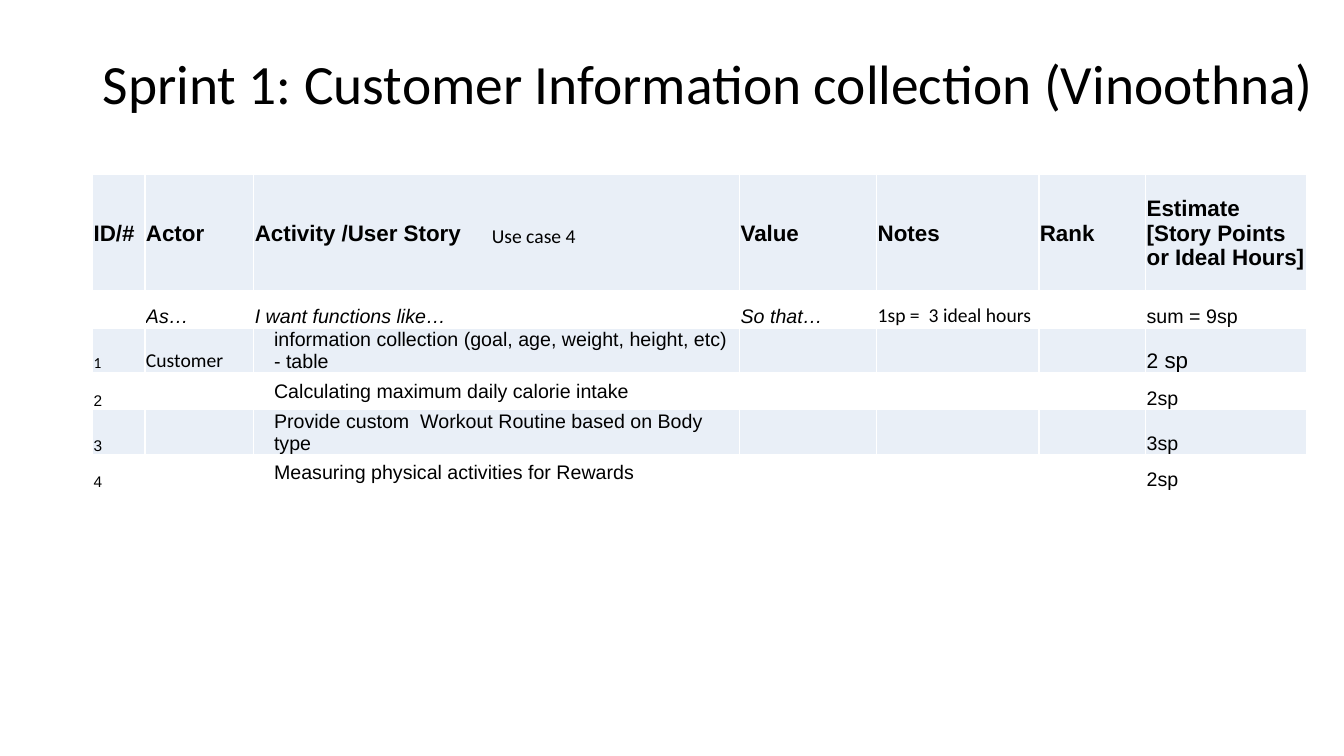
from dataclasses import dataclass

from lxml.etree import SubElement
from pptx import Presentation
from pptx.dml.color import RGBColor
from pptx.enum.text import MSO_ANCHOR, PP_ALIGN
from pptx.oxml.ns import qn
from pptx.util import Pt


@dataclass(frozen=True)
class Theme:
    ink: RGBColor = RGBColor(0x00, 0x00, 0x00)
    band: RGBColor = RGBColor(0xE9, 0xEF, 0xF7)
    plain: RGBColor = RGBColor(0xFF, 0xFF, 0xFF)
    border: str = "FFFFFF"
    heading_font: str = "Calibri"
    table_font: str = "Arial"
    title_size: float = 39.6
    header_size: float = 16
    body_size: float = 14
    id_size: float = 11


THEME = Theme()

# Table content
ROWS = [
    ["ID/#", "Actor", "Activity /User Story", "Value", "Notes", "Rank",
     "Estimate [Story Points  or Ideal Hours]"],
    ["", "As…", "I want functions like…", "So that…",
     "1sp =  3 ideal hours", "", "sum = 9sp"],
    ["1", "Customer",
     "information collection (goal, age, weight, height, etc) - table",
     "", "", "", "2 sp"],
    ["2", "", "Calculating maximum daily calorie intake", "", "", "", "2sp"],
    ["3", "", "Provide custom  Workout Routine based on Body type",
     "", "", "", "3sp"],
    ["4", "", "Measuring physical activities for Rewards", "", "", "", "2sp"],
]
COLUMN_WIDTHS = [37.4, 77.8, 347, 97.9, 115.9, 76.3, 115.2]
ROW_HEIGHTS = [82.8, 26.6, 26.6, 25.9, 27.4, 25.9]
ID_COLUMN, STORY_COLUMN = 0, 2
HEADER_ROW, PROMPT_ROW, FIRST_STORY_ROW = 0, 1, 2
CALIBRI_CELLS = {"1sp =  3 ideal hours", "1", "Customer"}
ITALIC_CELLS = {"As…", "I want functions like…", "So that…"}


def format_runs(paragraph, size, font_name, bold=False, italic=False):
    for run in paragraph.runs:
        run.font.size = Pt(size)
        run.font.name = font_name
        run.font.bold = bold
        run.font.italic = italic
        run.font.color.rgb = THEME.ink


def set_margins(target, left, top, right, bottom):
    target.margin_left, target.margin_top = Pt(left), Pt(top)
    target.margin_right, target.margin_bottom = Pt(right), Pt(bottom)


def add_title(slide, text):
    title = slide.shapes.title
    title.left, title.top = Pt(66.2), Pt(44.5)
    title.width, title.height = Pt(886), Pt(35.3)
    text_frame = title.text_frame
    text_frame.text = text
    text_frame.word_wrap = True
    text_frame.vertical_anchor = MSO_ANCHOR.MIDDLE
    set_margins(text_frame, 7.2, 3.6, 7.2, 3.6)
    paragraph = text_frame.paragraphs[0]
    paragraph.alignment = PP_ALIGN.LEFT
    paragraph.line_spacing = 0.9
    format_runs(paragraph, THEME.title_size, THEME.heading_font)


def add_label(slide, text, left, top, width, height):
    label = slide.shapes.add_textbox(Pt(left), Pt(top), Pt(width), Pt(height))
    text_frame = label.text_frame
    text_frame.text = text
    text_frame.word_wrap = True
    text_frame.vertical_anchor = MSO_ANCHOR.MIDDLE
    set_margins(text_frame, 7.2, 7.2, 7.2, 7.2)
    format_runs(text_frame.paragraphs[0], THEME.body_size, THEME.heading_font)


def add_borders(cell):
    properties = cell._tc.get_or_add_tcPr()
    for side in ("a:lnL", "a:lnR", "a:lnT", "a:lnB"):
        line = SubElement(properties, qn(side), w=str(Pt(1)))
        fill = SubElement(line, qn("a:solidFill"))
        SubElement(fill, qn("a:srgbClr"), val=THEME.border)


def fill_cell(cell, text, row, column):
    add_borders(cell)
    cell.fill.solid()
    cell.fill.fore_color.rgb = THEME.plain if row % 2 else THEME.band
    is_header = row == HEADER_ROW
    is_story = column == STORY_COLUMN and row >= FIRST_STORY_ROW
    set_margins(cell, 14.4 if is_story else 0.7, 0.7, 0.7, 0)
    centred = is_header or is_story
    cell.vertical_anchor = MSO_ANCHOR.MIDDLE if centred else MSO_ANCHOR.BOTTOM

    size = THEME.body_size
    if is_header:
        size = THEME.header_size
    elif column == ID_COLUMN:
        size = THEME.id_size
    font_name = THEME.heading_font if text in CALIBRI_CELLS else THEME.table_font
    cell.text_frame.text = text
    format_runs(cell.text_frame.paragraphs[0], size, font_name,
                bold=is_header, italic=text in ITALIC_CELLS)


def add_backlog_table(slide, left, top):
    frame = slide.shapes.add_table(
        len(ROWS), len(COLUMN_WIDTHS), Pt(left), Pt(top),
        Pt(sum(COLUMN_WIDTHS)), Pt(sum(ROW_HEIGHTS)))
    table = frame.table
    table.first_row = False
    table.horz_banding = False
    for column, width in zip(table.columns, COLUMN_WIDTHS):
        column.width = Pt(width)
    for row, height in zip(table.rows, ROW_HEIGHTS):
        row.height = Pt(height)
    for row, texts in enumerate(ROWS):
        for column, text in enumerate(texts):
            fill_cell(table.cell(row, column), text, row, column)
    return table


def enlarge_first_estimate(table):
    paragraph = table.cell(FIRST_STORY_ROW, len(COLUMN_WIDTHS) - 1).text_frame.paragraphs[0]
    paragraph.runs[0].text = "2"
    paragraph.add_run().text = " sp"
    format_runs(paragraph, THEME.header_size, THEME.table_font)
    paragraph.runs[0].font.size = Pt(THEME.header_size - 1)


def main():
    presentation = Presentation()
    presentation.slide_width, presentation.slide_height = Pt(960), Pt(540)
    slide = presentation.slides.add_slide(presentation.slide_layouts[5])

    # Heading
    add_title(slide, "Sprint 1: Customer Information collection (Vinoothna)")

    # Sprint backlog
    table = add_backlog_table(slide, 66.2, 124.9)
    enlarge_first_estimate(table)

    # Use case label over the header row
    add_label(slide, "Use case 4", 344.2, 152.6, 183.6, 31.7)

    presentation.save("out.pptx")


if __name__ == "__main__":
    main()
